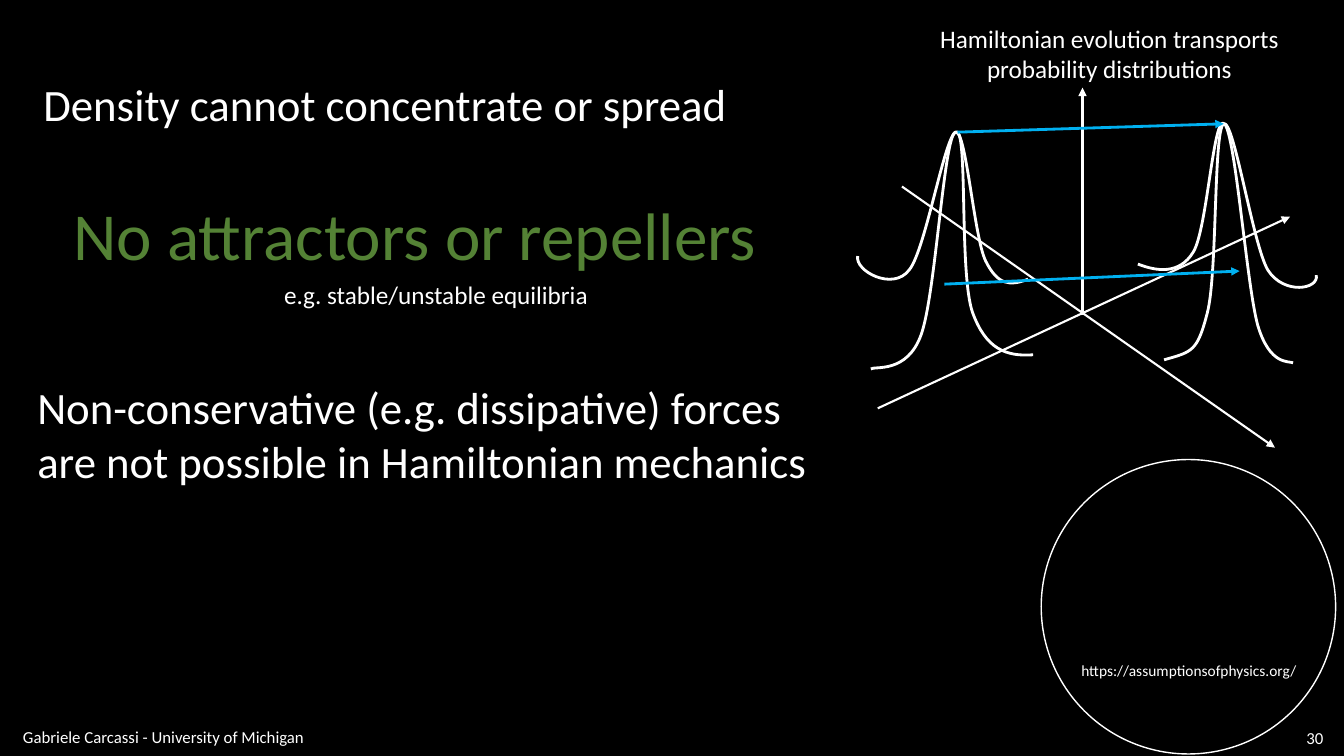
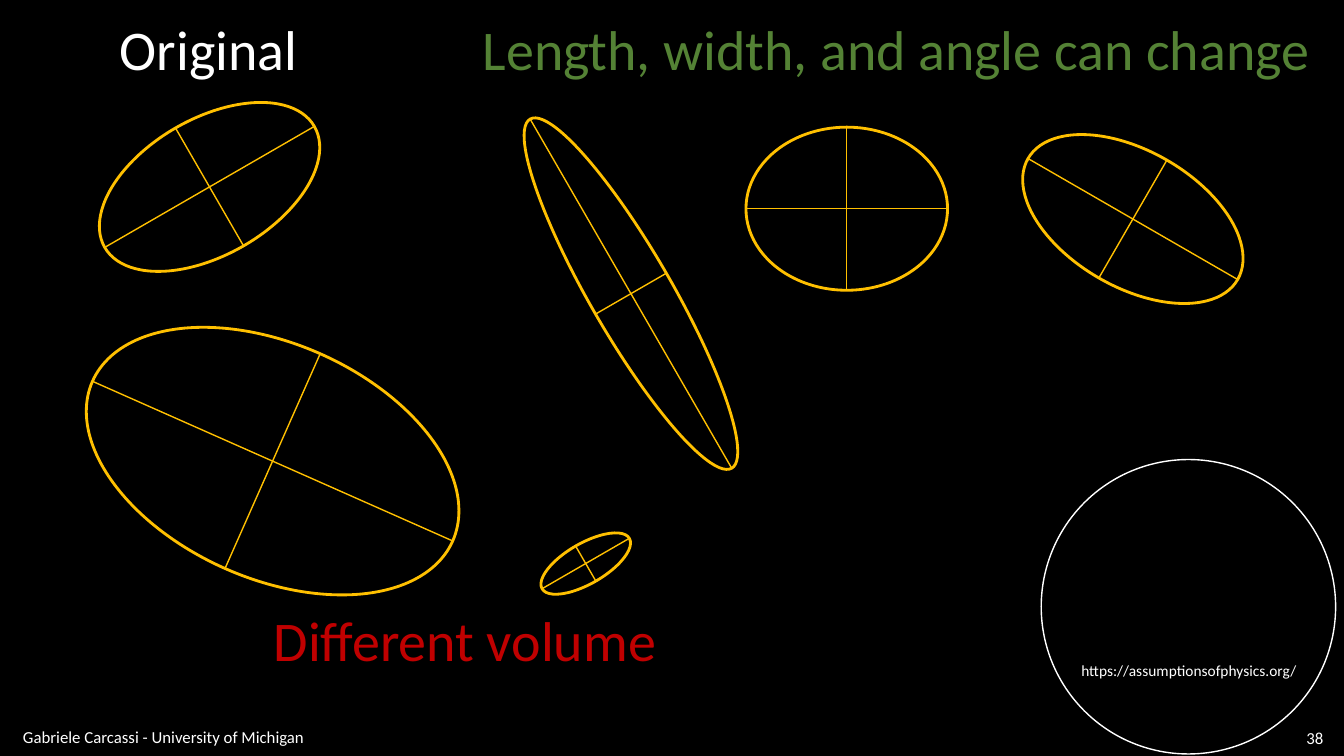
"""Build two slides on Hamiltonian flow and phase space volume."""
from math import cos, radians, sin

from lxml import etree
from pptx import Presentation
from pptx.dml.color import RGBColor
from pptx.enum.shapes import MSO_CONNECTOR, MSO_SHAPE
from pptx.enum.text import MSO_ANCHOR, PP_ALIGN
from pptx.oxml.ns import qn
from pptx.util import Cm, Pt

BLACK = RGBColor(0x00, 0x00, 0x00)
WHITE = RGBColor(0xFF, 0xFF, 0xFF)
GREEN = RGBColor(0x54, 0x82, 0x35)
RED = RGBColor(0xC0, 0x00, 0x00)
BLUE = RGBColor(0x00, 0xB0, 0xF0)
GOLD = RGBColor(0xFF, 0xC0, 0x00)
FONT = "Calibri"
LEFT, CENTER, RIGHT = PP_ALIGN.LEFT, PP_ALIGN.CENTER, PP_ALIGN.RIGHT
TOP, MIDDLE = MSO_ANCHOR.TOP, MSO_ANCHOR.MIDDLE
OVAL = MSO_SHAPE.OVAL
STRAIGHT = MSO_CONNECTOR.STRAIGHT


def text(box, words, place, size, color=WHITE, align=LEFT, anchor=TOP, wrap=False):
    box.left, box.top, box.width, box.height = map(Cm, place)
    frame = box.text_frame
    frame.text = words
    frame.word_wrap = wrap
    frame.vertical_anchor = anchor
    for part in frame.paragraphs:
        part.alignment = align
        part.font.name = FONT
        part.font.size = Pt(size)
        part.font.color.rgb = color


def trace(item, color, width, arrow=False):
    if hasattr(item, "fill"):
        item.fill.background()
    item.line.color.rgb = color
    item.line.width = Pt(width)
    props = item.element.spPr
    if arrow:
        etree.SubElement(props.find(qn("a:ln")), qn("a:tailEnd"), type="triangle")
    etree.SubElement(props, qn("a:effectLst"))


deck = Presentation()
deck.slide_width, deck.slide_height = Cm(33.87), Cm(19.05)
back = deck.slide_master.background.fill
back.solid()
back.fore_color.rgb = BLACK
layout = deck.slide_layouts[5]
flow, volume = [deck.slides.add_slide(layout) for _ in range(2)]

ring = flow.shapes.add_shape(OVAL, Cm(26.24), Cm(11.58), Cm(7.42), Cm(7.42))
trace(ring, WHITE, 1)
site = flow.shapes.add_textbox(0, 0, 0, 0)
text(site, "https://assumptionsofphysics.org/", (27, 16.54, 5.97, 0.74), 11)
for number, item in enumerate((ring, site), 20):
    item.element.xpath(".//p:cNvPr")[0].set("id", str(number))
    layout.shapes.element.append(item.element)

for slide, page in ((flow, "30"), (volume, "38")):
    for words, place, align in (
        ("Gabriele Carcassi - University of Michigan", (0.33, 18.24, 16.59, 0.66), LEFT),
        (page, (32.05, 18.26, 1.55, 0.64), RIGHT),
    ):
        box = slide.shapes.add_textbox(0, 0, 0, 0)
        text(box, words, place, 12, align=align, anchor=MIDDLE, wrap=True)

text(flow.shapes.title, "Density cannot concentrate or spread", (0.84, 1.8, 18.59, 1.63), 32)
text(volume.shapes.title, "Length, width, and angle can change",
     (11.91, 0.23, 21.56, 1.96), 40, GREEN)

for slide, words, place, size, color, align in (
    (flow, "Non-conservative (e.g. dissipative) forces\vare not possible in Hamiltonian mechanics",
     (0.69, 9.45, 20.12, 3), 32, WHITE, LEFT),
    (flow, "No attractors or repellers", (1.6, 4.75, 17.96, 2.31), 48, GREEN, LEFT),
    (flow, "e.g. stable/unstable equilibria", (6.91, 6.91, 8.26, 1.02), 18, WHITE, LEFT),
    (flow, "Hamiltonian evolution transports\nprobability distributions",
     (23.39, 0.46, 9.14, 1.8), 18, WHITE, CENTER),
    (volume, "Original", (2.77, 0.23, 5.03, 1.96), 40, WHITE, LEFT),
    (volume, "Different volume", (6.65, 15.14, 10.26, 1.96), 40, RED, LEFT),
):
    text(slide.shapes.add_textbox(0, 0, 0, 0), words, place, size, color, align)

UNIT = Cm(0.0254)
for start, *points in (
    ((864, 366), (868, 363), (900, 371), (914, 332), (928, 293), (936, 144), (947, 132),
     (958, 120), (966, 235), (978, 259), (990, 283), (1002, 284), (1020, 277)),
    ((851, 254), (848, 269), (886, 289), (902, 268), (919, 248), (939, 124), (950, 131),
     (960, 138), (952, 273), (965, 310), (978, 346), (998, 354), (1025, 352)),
    ((1283, 360), (1279, 358), (1260, 363), (1248, 323), (1237, 284), (1226, 135), (1215, 123),
     (1204, 111), (1198, 227), (1184, 250), (1170, 273), (1147, 269), (1129, 262)),
    ((1306, 273), (1309, 287), (1274, 293), (1258, 268), (1243, 243), (1224, 116), (1214, 123),
     (1204, 130), (1208, 271), (1198, 310), (1188, 349), (1183, 349), (1155, 357)),
):
    pen = flow.shapes.build_freeform(*start, scale=UNIT)
    pen.add_line_segments(points, close=False)
    curve = pen.convert_to_shape()
    route = curve.element.xpath(".//a:path")[0]
    steps = route.findall(qn("a:lnTo"))
    for first in range(0, len(steps), 3):
        bend = etree.SubElement(route, qn("a:cubicBezTo"))
        for step in steps[first:first + 3]:
            bend.append(step[0])
            route.remove(step)
    trace(curve, WHITE, 2)

for ends, color, width in (
    ((27.28, 7.95, 27.28, 2.21), WHITE, 1.5),
    ((22.12, 10.29, 32.51, 5.46), WHITE, 1.5),
    ((22.73, 4.7, 32.13, 11.28), WHITE, 1.5),
    ((24.13, 3.33, 30.84, 3.12), BLUE, 2),
    ((23.8, 7.16, 31.24, 6.83), BLUE, 2),
):
    arrow = flow.shapes.add_connector(STRAIGHT, *map(Cm, ends))
    trace(arrow, color, width, arrow=True)

for x, y, wide, high, turn in (
    (5.28, 4.71, 6.1, 3.43, 150),
    (15.9, 7.4, 10.16, 2.06, 60),
    (21.34, 5.26, 5.08, 4.11, 0),
    (28.55, 5.52, 6.1, 3.43, 30),
    (6.87, 11.62, 9.93, 5.92, 23.9),
    (14.76, 14.2, 2.54, 1.02, 150),
):
    oval = volume.shapes.add_shape(
        OVAL, Cm(x - wide / 2), Cm(y - high / 2), Cm(wide), Cm(high))
    oval.rotation = turn
    trace(oval, GOLD, 2)
    for span, angle in ((wide, turn), (high, turn + 90)):
        dx = span / 2 * cos(radians(angle))
        dy = span / 2 * sin(radians(angle))
        axis = volume.shapes.add_connector(
            STRAIGHT, Cm(x - dx), Cm(y - dy), Cm(x + dx), Cm(y + dy))
        trace(axis, GOLD, 1)

deck.save("out.pptx")
